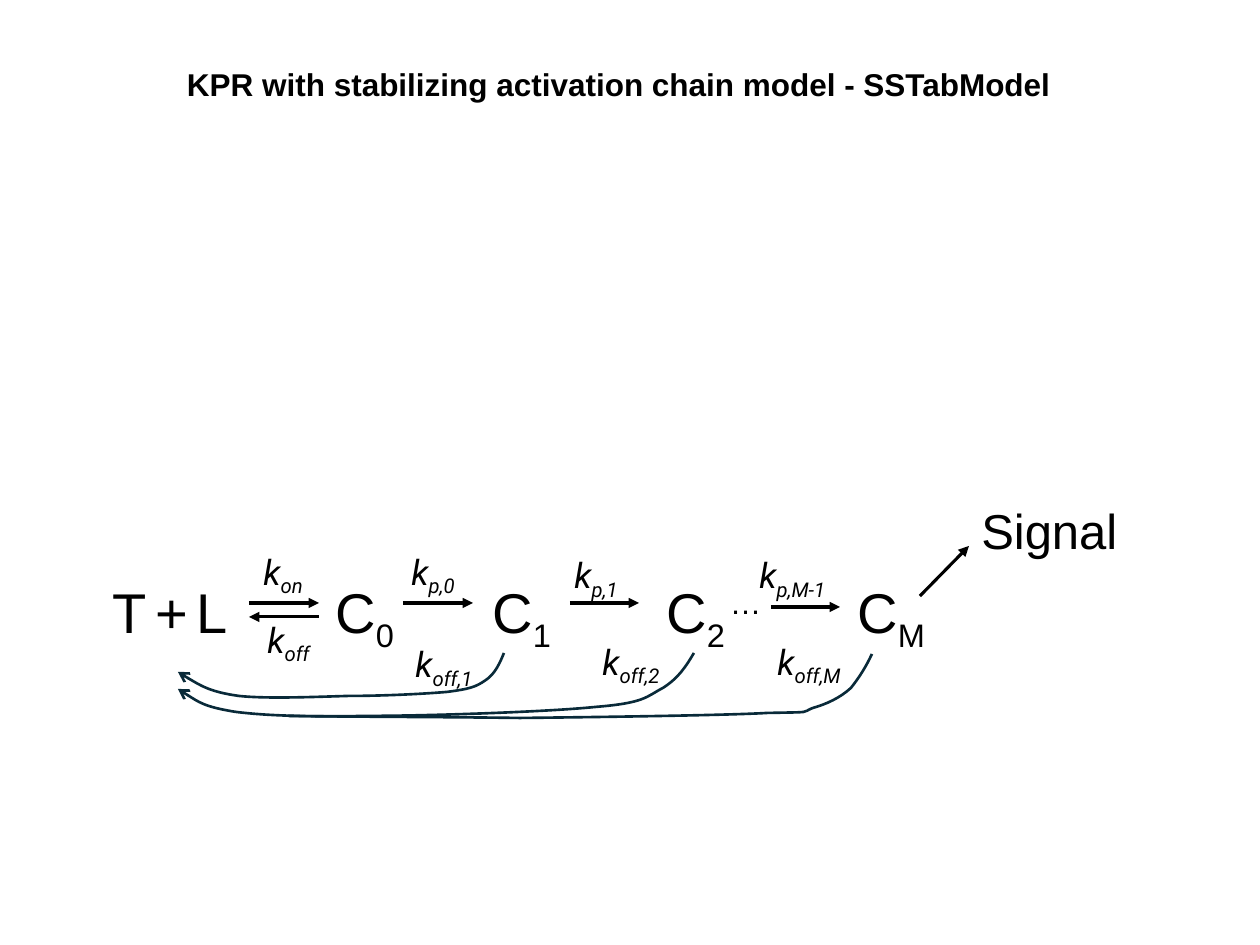
import pptx
import pptx.util
from pptx.dml.color import RGBColor
from pptx.enum.shapes import MSO_CONNECTOR
from pptx.enum.text import MSO_ANCHOR, MSO_AUTO_SIZE, PP_ALIGN
from pptx.oxml.ns import qn
from pptx.oxml.xmlchemy import OxmlElement

PX = 914400 // 126
BLACK, NAVY = "000000", "092A39"

# Content: lengths in px
TITLE = "KPR with stabilizing activation chain model - SSTabModel"
SPECIES_TOP = 571
SPECIES = [("0", 323, 87), ("1", 480, 87), ("2", 654, 87), ("M", 845, 98)]
RATES = [  # subscript, left, top, width
    ("on", 251, 544, 69), ("off", 255, 612, 69),
    ("p,0", 399, 544, 76), ("p,1", 562, 547, 76), ("p,M-1", 747, 547, 103),
    ("off,1", 403, 636, 88), ("off,2", 590, 634, 88), ("off,M", 765, 634, 96),
]
BINDING = [(249, 603, 319, 603), (319, 617, 249, 617)]
STEPS = [(403, 603, 473, 603), (570, 603, 639, 603),
         (771, 607, 840, 607), (920, 596, 969, 546)]
# Unbinding curves: start point, then three points per Bezier segment
CURVES = [
    ([(504, 653), (500, 663), (495, 674), (486, 680),
      (476, 687), (470, 689), (447, 692), (423, 694), (383, 696), (348, 696),
      (314, 697), (267, 699), (239, 696), (210, 692), (194, 682), (178, 672)], True),
    ([(694, 653), (687, 665), (679, 678), (663, 688),
      (646, 697), (645, 703), (596, 707), (547, 712), (428, 716), (369, 716),
      (309, 717), (268, 716), (236, 712), (204, 707), (192, 698), (178, 689)], True),
    ([(872, 654), (866, 667), (859, 678), (851, 688),
      (840, 698), (827, 704), (813, 708), (800, 713), (816, 712), (767, 713),
      (718, 716), (520, 718), (520, 718), (443, 717), (365, 717), (288, 716)], False),
]


def color(value):
    return RGBColor.from_string(value)


def fit_text(s, align=PP_ALIGN.LEFT):
    tf = s.text_frame
    tf.word_wrap = False
    tf.auto_size = MSO_AUTO_SIZE.SHAPE_TO_FIT_TEXT
    tf.vertical_anchor = MSO_ANCHOR.TOP
    p = tf.paragraphs[0]
    p.alignment = align
    p.font.color.rgb = color(BLACK)
    return p


def add_label(box, runs, font="Arial", italic=False, align=PP_ALIGN.LEFT):
    """Each run is (text, size, is subscript)."""
    s = slide.shapes.add_textbox(*(v * PX for v in box))
    p = fit_text(s, align)
    p.font.name, p.font.italic = font, italic
    for text, size, subscript in runs:
        r = p.add_run()
        r.text = text
        r.font.size = pptx.util.Pt(size)
        if subscript:
            r.font._element.set("baseline", "-25000")


def style_line(s, value, width, head=None):
    s.line.color.rgb = color(value)
    s.line.width = pptx.util.Pt(width)
    if head:
        end = OxmlElement("a:tailEnd")
        end.set("type", head)
        s.line._get_or_add_ln().append(end)


def add_arrow(shapes, ends):
    s = shapes.add_connector(MSO_CONNECTOR.STRAIGHT, *(v * PX for v in ends))
    style_line(s, BLACK, 1.75, "triangle")
    s._element.spPr.append(OxmlElement("a:effectLst"))


def add_curve(points, has_arrow):
    fb = slide.shapes.build_freeform(*points[0], scale=PX)
    fb.add_line_segments(points[1:], close=False)
    s = fb.convert_to_shape()
    s.shadow.inherit = False
    s.fill.background()
    style_line(s, NAVY, 1.5, "arrow" if has_arrow else None)
    # Turn every three line segments into one Bezier segment
    lines = list(s._element.iter(qn("a:lnTo")))
    for i in range(0, len(lines), 3):
        bezier = OxmlElement("a:cubicBezTo")
        lines[i].addprevious(bezier)
        for line in lines[i:i + 3]:
            bezier.append(line[0])
            line.getparent().remove(line)


prs = pptx.Presentation()
prs.slide_width, prs.slide_height = 1260 * PX, 945 * PX
slide = prs.slides.add_slide(prs.slide_layouts[5])

# Title
s = slide.shapes.title
s.left, s.top, s.width, s.height = (v * PX for v in (170, 59, 898, 50))
s.text_frame.text = TITLE
p = fit_text(s, PP_ALIGN.CENTER)
p.font.name, p.font.size, p.font.bold = "Arial", pptx.util.Pt(18), True

# Reaction arrows
group = slide.shapes.add_group_shape()
for ends in BINDING:
    add_arrow(group.shapes, ends)
for ends in STEPS:
    add_arrow(slide.shapes, ends)

# Species
add_label((100, SPECIES_TOP, 142, 81),
          [("T", 32, False), (" ", 18, False), ("+", 32, False),
           (" ", 18, False), ("L", 32, False)])
for sub, left, width in SPECIES:
    add_label((left, SPECIES_TOP, width, 81), [("C", 32, False), (sub, 32, True)])
add_label((717, 577, 57, 50), [("…", 18, False)], align=PP_ALIGN.CENTER)
add_label((969, 494, 164, 72), [("Signal", 28, False)])

# Rate constants
for sub, left, top, width in RATES:
    add_label((left, top, width, 55), [("k", 20, False), (sub, 20, True)],
              font="Roboto", italic=True)

# Unbinding curves
for points, has_arrow in CURVES:
    add_curve(points, has_arrow)

prs.save("out.pptx")
